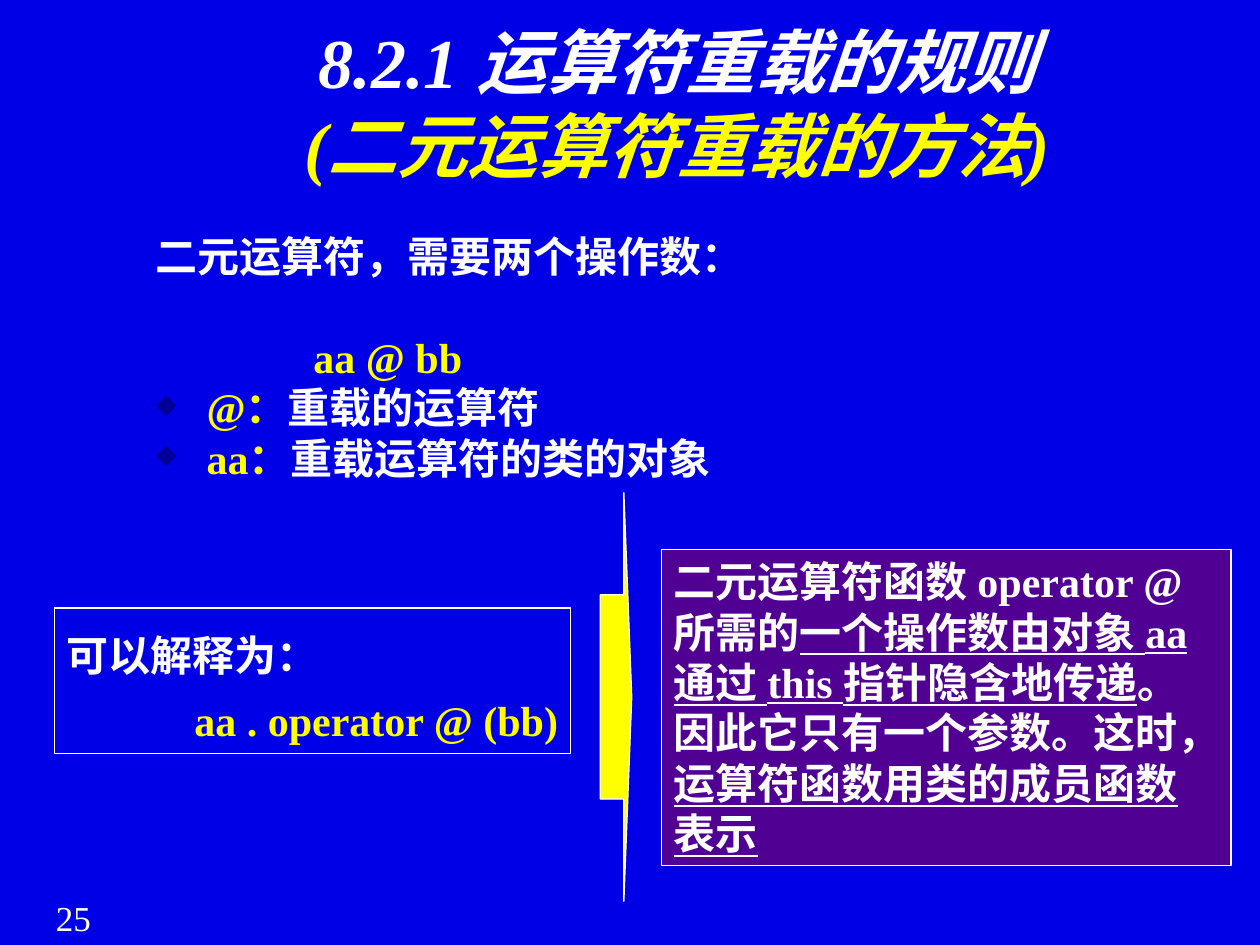
from dataclasses import dataclass

from lxml.etree import SubElement
from pptx import Presentation
from pptx.dml.color import RGBColor
from pptx.enum.lang import MSO_LANGUAGE_ID
from pptx.enum.shapes import MSO_SHAPE
from pptx.enum.text import MSO_ANCHOR, MSO_AUTO_SIZE, PP_ALIGN
from pptx.oxml.ns import qn
from pptx.util import Pt


@dataclass(frozen=True)
class Theme:
    font: str = "Times New Roman"
    background: str = "0000E7"
    text: str = "FFFFFF"
    accent: str = "FFFF00"
    panel: str = "500093"
    bullet: str = "000099"
    title_size: int = 40
    body_size: int = 24
    number_size: int = 20
    line_width: float = 0.75


THEME = Theme()


def apply(target, formats):
    for name, value in formats.items():
        setattr(target, name, value)


def place(shape, box):
    apply(shape, dict(zip(("left", "top", "width", "height"), map(Pt, box))))


def set_up_frame(shape, anchor=MSO_ANCHOR.TOP):
    frame = shape.text_frame
    apply(frame, {
        "word_wrap": True, "auto_size": MSO_AUTO_SIZE.NONE, "vertical_anchor": anchor,
        "margin_left": Pt(7.2), "margin_right": Pt(7.2),
        "margin_top": Pt(3.6), "margin_bottom": Pt(3.6),
    })
    return frame


def write_paragraphs(frame, paragraphs, size, **font_formats):
    """Each paragraph is (formats, spans); each span is (text, colour, underline)."""
    for index, (formats, spans) in enumerate(paragraphs):
        para = frame.paragraphs[0] if index == 0 else frame.add_paragraph()
        apply(para, {"alignment": PP_ALIGN.LEFT, **formats})
        for text, colour, underline in spans:
            span = para.add_run()
            span.text = text
            apply(span.font, {
                "name": THEME.font, "size": Pt(size), "underline": underline,
                "language_id": MSO_LANGUAGE_ID.SIMPLIFIED_CHINESE, **font_formats,
            })
            span.font.color.rgb = RGBColor.from_string(colour)


def plain(text):
    return text, THEME.text, False


def underlined(text):
    return text, THEME.text, True


def accented(text):
    return text, THEME.accent, False


def add_bullet(para, indent=29):
    properties = para._p.get_or_add_pPr()
    properties.set("marL", str(Pt(indent)))
    properties.set("indent", str(-Pt(indent)))
    colour = SubElement(properties, qn("a:buClr"))
    SubElement(colour, qn("a:srgbClr"), val=THEME.bullet)
    SubElement(properties, qn("a:buSzPct"), val="65000")
    SubElement(properties, qn("a:buChar"), char="◆")


def add_outlined_shape(page, kind, box, fill=None):
    shape = page.shapes.add_shape(kind, *map(Pt, box))
    shape.shadow.inherit = False
    if fill:
        shape.fill.solid()
        shape.fill.fore_color.rgb = RGBColor.from_string(fill)
    else:
        shape.fill.background()
    shape.line.color.rgb = RGBColor.from_string(THEME.text)
    shape.line.width = Pt(THEME.line_width)
    return shape


def set_title(page, box):
    title = page.shapes.title
    place(title, box)
    centred = {"alignment": PP_ALIGN.CENTER}
    write_paragraphs(set_up_frame(title, MSO_ANCHOR.BOTTOM), [
        (centred, [plain("8.2.1 运算符重载的规则")]),
        (centred, [accented("(二元运算符重载的方法)")]),
    ], THEME.title_size, bold=True, italic=True)


def add_operand_list(page, box):
    frame = set_up_frame(page.shapes.add_textbox(*map(Pt, box)))
    write_paragraphs(frame, [
        ({}, [plain("二元运算符，需要两个操作数：")]),
        ({"space_before": Pt(29)}, [accented("aa @ bb")]),
        ({}, [accented("@："), plain("重载的运算符")]),
        ({}, [accented("aa："), plain("重载运算符的类的对象")]),
    ], THEME.body_size, bold=True)
    expression, *bullets = frame.paragraphs[1:]
    expression._p.get_or_add_pPr().set("marL", str(Pt(90)))
    for para in bullets:
        add_bullet(para)


def add_function_panel(page, box):
    panel = add_outlined_shape(page, MSO_SHAPE.RECTANGLE, box, THEME.panel)
    write_paragraphs(set_up_frame(panel), [
        ({}, [plain("二元运算符函数 operator @ 所需的"), underlined("一个操作数由对象 aa")]),
        ({}, [underlined("通过 this 指针隐含地传递"), plain("。因此它只有一个参数。这时，"),
              underlined("运算符函数用类的成员函数表示")]),
    ], THEME.body_size, bold=True)


def add_interpretation(page, box):
    panel = add_outlined_shape(page, MSO_SHAPE.RECTANGLE, box)
    spacing = {"line_spacing": 1.3}
    write_paragraphs(set_up_frame(panel), [
        (spacing, [plain("可以解释为：")]),
        ({**spacing, "alignment": PP_ALIGN.RIGHT}, [accented("aa . operator @ (bb)")]),
    ], THEME.body_size, bold=True)


def add_arrow(page, box):
    arrow = add_outlined_shape(page, MSO_SHAPE.RIGHT_ARROW, box, THEME.accent)
    arrow.adjustments[0] = 0.5
    arrow.adjustments[1] = 0.25


def add_page_number(page, box):
    frame = set_up_frame(page.shapes.add_textbox(*map(Pt, box)))
    write_paragraphs(frame, [({"alignment": PP_ALIGN.CENTER}, [plain("25")])],
                     THEME.number_size)


def main():
    deck = Presentation()
    apply(deck, {"slide_width": Pt(720), "slide_height": Pt(540)})
    page = deck.slides.add_slide(deck.slide_layouts.get_by_name("Title Only"))
    page.background.fill.solid()
    page.background.fill.fore_color.rgb = RGBColor.from_string(THEME.background)

    add_page_number(page, (12, 509, 60, 31))
    set_title(page, (99, 20, 576, 90))
    add_operand_list(page, (82, 128, 621, 153))
    add_function_panel(page, (378, 314, 325.5, 180.5))
    add_interpretation(page, (31, 347.5, 295, 83))
    add_arrow(page, (343, 281.5, 18, 233.5))
    deck.save("out.pptx")


if __name__ == "__main__":
    main()
